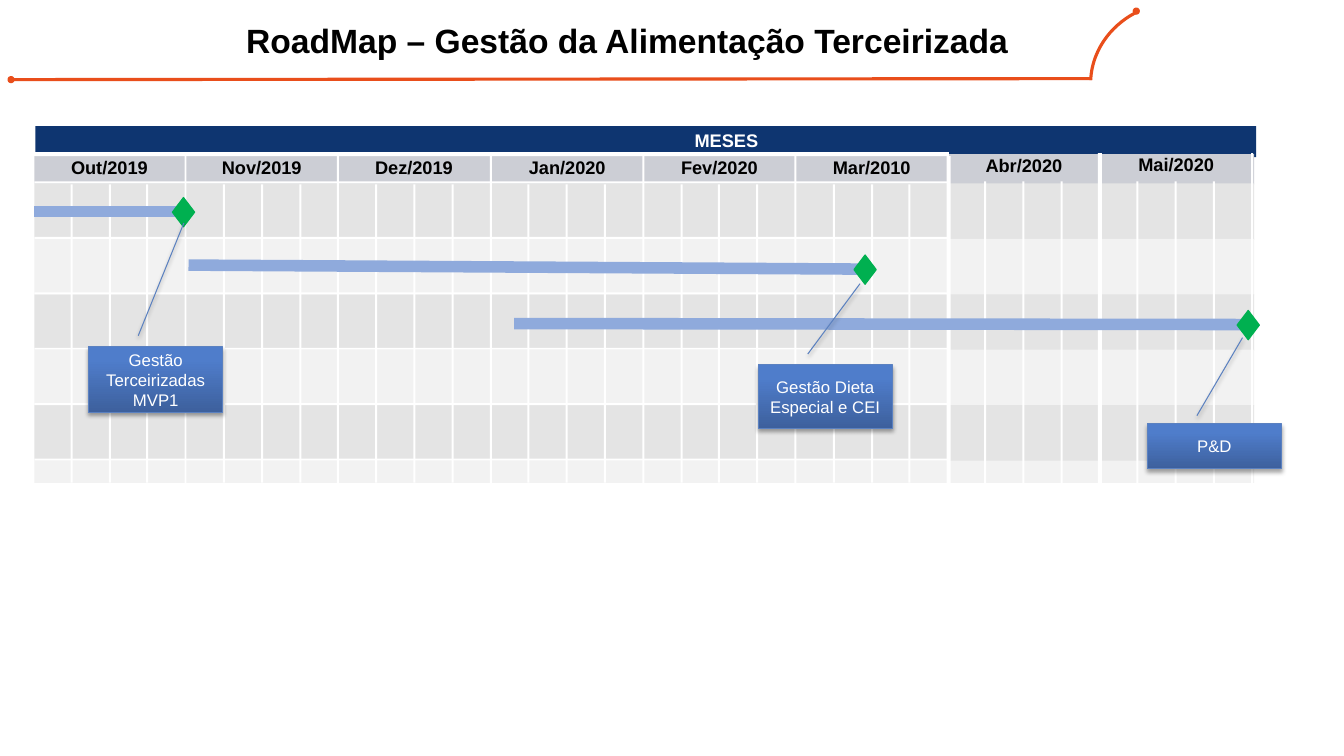
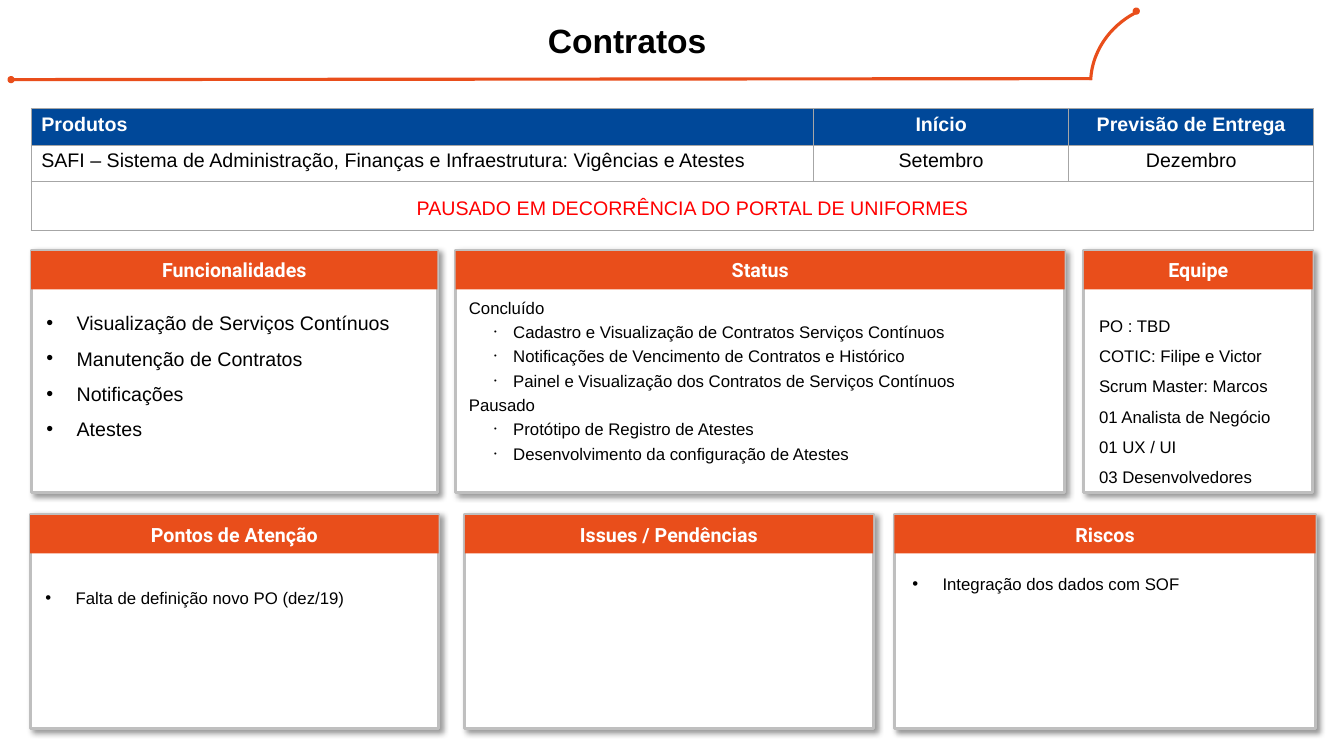
from dataclasses import dataclass

from pptx import Presentation
from pptx.dml.color import RGBColor
from pptx.enum.shapes import MSO_CONNECTOR, MSO_SHAPE
from pptx.enum.text import MSO_ANCHOR, MSO_AUTO_SIZE, PP_ALIGN
from pptx.oxml.ns import qn
from pptx.util import Pt
from lxml import etree

RECT, OVAL, ARC = MSO_SHAPE.RECTANGLE, MSO_SHAPE.OVAL, MSO_SHAPE.ARC
GEM, NOTE = MSO_SHAPE.DIAMOND, MSO_SHAPE.LINE_CALLOUT_1
LINE = MSO_CONNECTOR.STRAIGHT
LEFT, CENTER = PP_ALIGN.LEFT, PP_ALIGN.CENTER
TOP, MIDDLE = MSO_ANCHOR.TOP, MSO_ANCHOR.MIDDLE
FIXED = MSO_AUTO_SIZE.NONE
SCALE = 9144


@dataclass(frozen=True)
class Theme:
    face: str = "Arial"
    accent: str = "Roboto"
    black: str = "000000"
    white: str = "FFFFFF"
    orange: str = "E94E1B"
    navy: str = "0E3570"
    blue: str = "004899"
    red: str = "FF0000"
    month: str = "CCCED5"
    dark: str = "E4E4E4"
    light: str = "F2F2F2"
    bar: str = "8FAADC"
    green: str = "00B050"
    deep: str = "3D609D"
    bright: str = "4F7DCB"
    rim: str = "5B81C0"
    frame: str = "BFBFBF"
    border: str = "A6A6A6"
    title: int = 24
    head: int = 14
    label: int = 13
    body: int = 12


def px(value):
    return round(value * SCALE)


def rgb(code):
    return RGBColor.from_string(code)


def add(parent, tag, **values):
    node = etree.SubElement(parent, qn(tag))
    for key, value in values.items():
        node.set(key, str(value))
    return node


def tint(parent, code):
    return add(add(parent, "a:solidFill"), "a:srgbClr", val=code)


def mark(para, bullet, color):
    props = para._p.get_or_add_pPr()
    left, hang, size = bullet or (0, 0, 100)
    props.set("marL", str(px(left)))
    props.set("indent", str(px(-hang)))
    if not bullet:
        add(props, "a:buNone")
        return
    add(add(props, "a:buClr"), "a:srgbClr", val=color)
    add(props, "a:buSzPct", val=size * 1000)
    add(props, "a:buFont", typeface="Arial")
    add(props, "a:buChar", char="•")


def write(frame, text, size, color, face, bold=False, align=LEFT,
          space=1.0, gap=0, bullet=None, plain=()):
    lines = [text] if isinstance(text, str) else text
    for index, line in enumerate(lines):
        para = frame.add_paragraph() if index else frame.paragraphs[0]
        mark(para, None if line in plain else bullet, color)
        para.alignment = align
        para.line_spacing = space
        para.space_before = Pt(gap if index else 0)
        para.space_after = Pt(0)
        run = para.add_run()
        run.text = line
        font = run.font
        font.name, font.size, font.bold = face, Pt(size), bold
        font.color.rgb = rgb(color)


class Deck:
    def __init__(self, theme, width, height):
        self.theme = theme
        self.file = Presentation()
        self.file.slide_width = px(width)
        self.file.slide_height = px(height)
        self.slide = None
        self.slots = []

    def page(self, layout, title):
        look = self.theme
        self.slide = self.file.slides.add_slide(self.file.slide_layouts[layout])
        self.slots = []
        for slot in list(self.slide.placeholders):
            kind = slot.placeholder_format.idx
            if kind in range(1, 10):
                self.slots.append(slot)
            elif kind:
                slot._element.getparent().remove(slot._element)
        self.fit(self.slide.shapes.title, (101, 5, 1042, 75), title,
                 anchor=MIDDLE, size=look.title, bold=True, align=CENTER,
                 space=0.9)
        arc = self.shape(ARC, (1088, -4, 156, 169), None, look.orange, 2.25)
        arc.rotation = 260
        arc.adjustments[0], arc.adjustments[1] = 168.45, 204.94
        self.line((1083, 78), (11, 79), look.orange, 2.25)
        for left, top in ((1125, 9), (9, 77)):
            self.shape(OVAL, (left, top, 4, 4), look.orange, look.orange, 2.25)

    def fit(self, shape, box, text, anchor=TOP, pad=(10, 5), wrap=True, **style):
        shape.left, shape.top, shape.width, shape.height = map(px, box)
        self.fill(shape.text_frame, text, anchor, pad, wrap, **style)

    def fill(self, frame, text, anchor=MIDDLE, pad=(10, 5), wrap=True, **style):
        frame.auto_size = FIXED
        frame.word_wrap = wrap
        frame.vertical_anchor = anchor
        frame.margin_left = frame.margin_right = px(pad[0])
        frame.margin_top = frame.margin_bottom = px(pad[1])
        base = dict(size=self.theme.body, color=self.theme.black,
                    face=self.theme.face)
        write(frame, text, **{**base, **style})

    def shape(self, kind, box, fill, line=None, width=1.0, shade=None):
        shape = self.slide.shapes.add_shape(kind, *map(px, box))
        if fill:
            shape.fill.solid()
            shape.fill.fore_color.rgb = rgb(fill)
        else:
            shape.fill.background()
        if line:
            shape.line.color.rgb = rgb(line)
            shape.line.width = Pt(width)
        else:
            shape.line.fill.background()
        shape.shadow.inherit = False
        if shade:
            blur, away, angle, alpha = shade
            glow = shape._element.spPr.find(qn("a:effectLst"))
            drop = add(glow, "a:outerShdw", blurRad=Pt(blur), dist=Pt(away),
                       dir=angle * 60000, algn="ctr", rotWithShape=0)
            ink = add(drop, "a:srgbClr", val=self.theme.black)
            add(ink, "a:alpha", val=alpha * 1000)
        return shape

    def line(self, start, end, color, width):
        line = self.slide.shapes.add_connector(LINE, *map(px, start + end))
        line.line.color.rgb = rgb(color)
        line.line.width = Pt(width)
        add(line._element.spPr, "a:effectLst")

    def label(self, box, text, **style):
        self.fit(self.slide.shapes.add_textbox(0, 0, 0, 0), box, text,
                 pad=(0, 0), wrap=False, size=self.theme.label, bold=True,
                 align=CENTER, **style)

    def list(self, box, lines, **style):
        if self.slots:
            shape = self.slots.pop(0)
            self.slide.shapes._spTree.append(shape._element)
        else:
            shape = self.slide.shapes.add_textbox(0, 0, 0, 0)
        self.fit(shape, box, lines, **style)

    def note(self, box, text, tip):
        look = self.theme
        note = self.shape(NOTE, box, look.bright, look.rim, 0.75,
                          (3.1, 1.8, 90, 35))
        note.fill.gradient()
        note.fill.gradient_angle = 90
        for stop, color, place in zip(note.fill.gradient_stops,
                                      (look.deep, look.bright), (0, 0.8)):
            stop.color.rgb = rgb(color)
            stop.position = place
        for index, value in enumerate((-0.17, 0.37) + tip):
            note.adjustments[index] = value
        self.fill(note.text_frame, text, color=look.white, align=CENTER)

    def card(self, box, title):
        look = self.theme
        left, top, width, _ = box
        self.shape(RECT, box, look.white, look.frame, 2, (4, 3, 45, 40))
        head = self.shape(RECT, (left, top + 1, width, 38), look.orange)
        self.fill(head.text_frame, title, pad=(0, 0), size=look.head,
                  color=look.white, face=look.accent, bold=True, align=CENTER)

    def table(self, box, widths, heights, rows):
        look = self.theme
        table = self.slide.shapes.add_table(
            len(heights), len(widths), *map(px, box)).table
        table.first_row = table.horz_banding = False
        for column, width in zip(table.columns, widths):
            column.width = px(width)
        for row, height in zip(table.rows, heights):
            row.height = px(height)
        for y, row in enumerate(rows):
            for x in range(len(widths)):
                cell = table.cell(y, x)
                props = cell._tc.get_or_add_tcPr()
                for side in "LRTB":
                    tint(add(props, f"a:ln{side}", w=Pt(0.96)), look.border)
                cell.fill.solid()
                cell.fill.fore_color.rgb = rgb(look.white if y else look.blue)
                if x < len(row):
                    write(cell.text_frame, row[x], size=look.head,
                          color=look.black if y else look.white,
                          face=look.face, bold=not y,
                          align=CENTER if x else LEFT)
        return table


def roadmap(deck):
    look = deck.theme
    deck.page(5, "RoadMap – Gestão da Alimentação Terceirizada")
    left, wide, end, step = 33, 1211, 479, 37.8
    deck.shape(RECT, (35, 125, wide, 31), look.navy)
    deck.shape(RECT, (left, 153, wide, 30), look.month)
    tops = range(182, end, 55)
    for index, top in enumerate(tops):
        color = look.light if index % 2 else look.dark
        deck.shape(RECT, (left, top, wide, min(56, end - top)), color)
    for index in range(33):
        late = index > 24
        top = (183 if index % 4 else 155) - 3 * late
        thick = 4 if index in (24, 28) else 2
        spot = 32 + round(step * index) - late
        deck.shape(RECT, (spot, top, thick, end - top), look.white)
    deck.shape(RECT, (32, 151, 909, 4), look.white)
    for top in tops:
        deck.shape(RECT, (34, top - 2, 907, 2), look.white)

    deck.label((689, 128, 63, 24), "MESES", color=look.white)
    months = ("Out/2019", "Nov/2019", "Dez/2019", "Jan/2020", "Fev/2020",
              "Mar/2010", "Abr/2020", "Mai/2020")
    for index, month in enumerate(months):
        top = 155 - max(0, index - 4 if index > 5 else 0)
        deck.label((left + round(4 * step * index), top, 151, 24), month)

    bars = (((34, 210), (183, 210), (182, 210)),
            ((187, 263), (857, 267), (858, 267)),
            ((510, 321), (1240, 322), (1238, 322)))
    for start, stop, _ in bars:
        deck.line(start, stop, look.bar, 8.25)
    for _, _, (x, y) in bars:
        deck.shape(GEM, (x - 11, y - 14, 22, 29), look.green, look.green, 0.88)

    deck.note((88, 344, 133, 65), ["Gestão Terceirizadas", "MVP1"],
              (-1.89, 0.71))
    deck.note((752, 362, 133, 63), "Gestão Dieta Especial e CEI",
              (-1.28, 0.76))
    deck.note((1138, 420, 133, 45), "P&D", (-1.89, 0.71))


def contracts(deck):
    look = deck.theme
    deck.page(4, "Contratos")
    table = deck.table(
        (31, 108, 1272, 121), (776, 253, 243), (36, 36, 49),
        (("Produtos", "Início", "Previsão de Entrega"),
         ("SAFI – Sistema de Administração, Finanças e Infraestrutura: "
          "Vigências e Atestes", "Setembro", "Dezembro"), ()))
    pause = table.cell(2, 0)
    pause.merge(table.cell(2, 2))
    pause.margin_left = px(50)
    write(pause.text_frame, "PAUSADO EM DECORRÊNCIA DO PORTAL DE UNIFORMES",
          size=look.head, color=look.red, face=look.face, align=CENTER,
          space=1.5)

    bands = (
        (248, 241, (("Funcionalidades", 31, 403), ("Status", 452, 604),
                    ("Equipe", 1075, 227))),
        (510, 213, (("Pontos de Atenção", 30, 405),
                    ("Issues / Pendências", 461, 405),
                    ("Riscos", 887, 418))))
    for top, height, cards in bands:
        for title, left, width in cards:
            deck.card((left, top, width, height), title)

    dots = dict(bullet=(31, 30, 100), space=1.5)
    deck.list((35, 292, 399, 190),
              ["Visualização de Serviços Contínuos", "Manutenção de Contratos",
               "Notificações", "Atestes"], size=look.head, **dots)
    deck.list((455, 290, 601, 196),
              ["Concluído",
               "Cadastro e Visualização de Contratos Serviços Contínuos",
               "Notificações de Vencimento de Contratos e Histórico",
               "Painel e Visualização dos Contratos de Serviços Contínuos",
               "Pausado", "Protótipo de Registro de Atestes",
               "Desenvolvimento da configuração de Atestes"],
              gap=3, bullet=(44, 19, 45), plain=("Concluído", "Pausado"))
    deck.list((1080, 298, 218, 190),
              ["PO : TBD", "COTIC: Filipe e Victor", "Scrum Master: Marcos",
               "01 Analista de Negócio", "01 UX / UI", "03 Desenvolvedores"],
              space=1.5)
    deck.list((34, 568, 403, 44), ["Falta de definição novo PO (dez/19)"], **dots)
    deck.list((894, 554, 403, 44), ["Integração dos dados com SOF"], **dots)


def main():
    deck = Deck(Theme(), 1333, 750)
    roadmap(deck)
    contracts(deck)
    deck.file.save("out.pptx")


if __name__ == "__main__":
    main()
